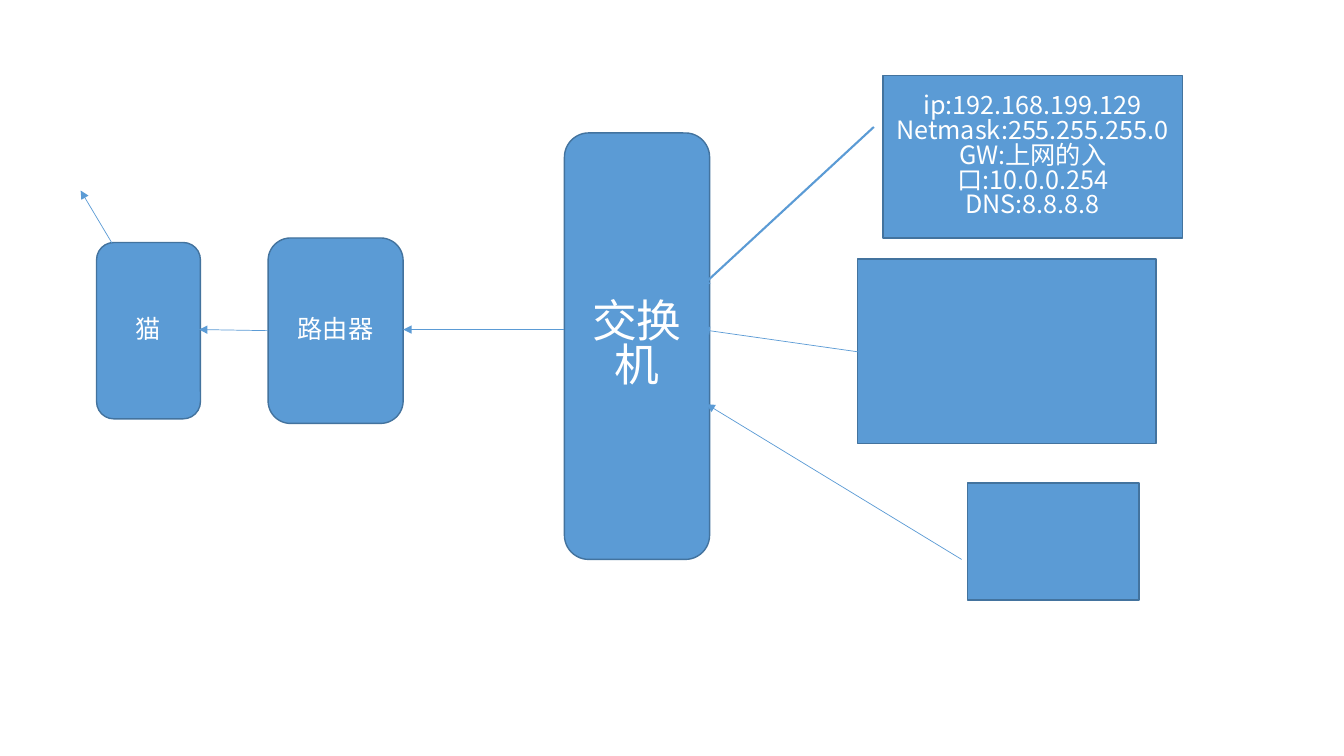
from pptx import Presentation
from pptx.dml.color import RGBColor
from pptx.enum.shapes import MSO_CONNECTOR, MSO_SHAPE
from pptx.enum.text import MSO_ANCHOR, PP_ALIGN
from pptx.oxml.ns import qn
from pptx.util import Pt
from lxml.etree import SubElement

FONT = "Noto Sans CJK SC"
COLORS = {"fill": "5B9BD5", "border": "43739E", "text": "FFFFFF"}
RECT, ROUND = MSO_SHAPE.RECTANGLE, MSO_SHAPE.ROUNDED_RECTANGLE

HOST_LINES = [
    "ip:192.168.199.129",
    "Netmask:255.255.255.0",
    "GW:上网的入口:10.0.0.254",
    "DNS:8.8.8.8",
]

# Shape, (left, top, width, height), text lines, text size
DEVICES = [
    (RECT, (630.7, 54, 213.8, 116), HOST_LINES, 18),
    (RECT, (612.7, 185, 213.1, 131.8), [], 18),
    (RECT, (691.2, 345, 122.4, 83.5), [], 18),
    (ROUND, (403.2, 95, 103.7, 304.6), ["交换机"], 32),
    (ROUND, (191.5, 170, 96.5, 132.5), ["路由器"], 18),
    (ROUND, (69, 173.2, 74.2, 126), ["猫"], 18),
]

# Start, end, line width; every arrowhead sits at the end
LINKS = [
    ((624.2, 90.7), (501.1, 204.5), 1.5),
    ((612.7, 251.3), (501.1, 235.4), 0.5),
    ((686.9, 399.6), (504.7, 288.7), 0.5),
    ((403.2, 235.4), (288, 235.4), 0.5),
    ((191.5, 236.2), (142.2, 235.4), 0.5),
    ((79.9, 173.5), (57.6, 136.1), 0.5),
]


def color(name):
    """Return the named palette colour."""
    return RGBColor.from_string(COLORS[name])


def write(tf, lines, size=18, align=PP_ALIGN.CENTER, spacing=0.82):
    """Fill a text frame with one formatted paragraph per line."""
    tf.word_wrap = True
    tf.vertical_anchor = MSO_ANCHOR.MIDDLE
    for i, line in enumerate(lines):
        p = tf.paragraphs[0] if i == 0 else tf.add_paragraph()
        p.alignment, p.line_spacing = align, spacing
        r = p.add_run()
        r.text = line
        r.font.size, r.font.name = Pt(size), FONT
        r.font.color.rgb = color("text")
        SubElement(r.font._element, qn("a:ea"), typeface=FONT)


def add_device(s, kind, box, lines, size):
    """Draw one device box with its label."""
    sp = s.shapes.add_shape(kind, *map(Pt, box))
    sp.shadow.inherit = False
    sp.fill.solid()
    sp.fill.fore_color.rgb = color("fill")
    sp.line.color.rgb = color("border")
    sp.line.width = Pt(1)
    if lines:
        write(sp.text_frame, lines, size=size)


def add_link(s, start, end, width):
    """Draw an arrow from start to end."""
    link = s.shapes.add_connector(MSO_CONNECTOR.STRAIGHT, *map(Pt, start + end))
    link.line.color.rgb = color("fill")
    link.line.width = Pt(width)
    sp_pr = link._element.spPr
    SubElement(sp_pr.find(qn("a:ln")), qn("a:tailEnd"), type="triangle")
    SubElement(sp_pr, qn("a:effectLst"))


prs = Presentation()
prs.slide_width, prs.slide_height = Pt(960), Pt(540)
s = prs.slides.add_slide(prs.slide_layouts[6])
for device in DEVICES:
    add_device(s, *device)
for link in LINKS:
    add_link(s, *link)
prs.save("out.pptx")
